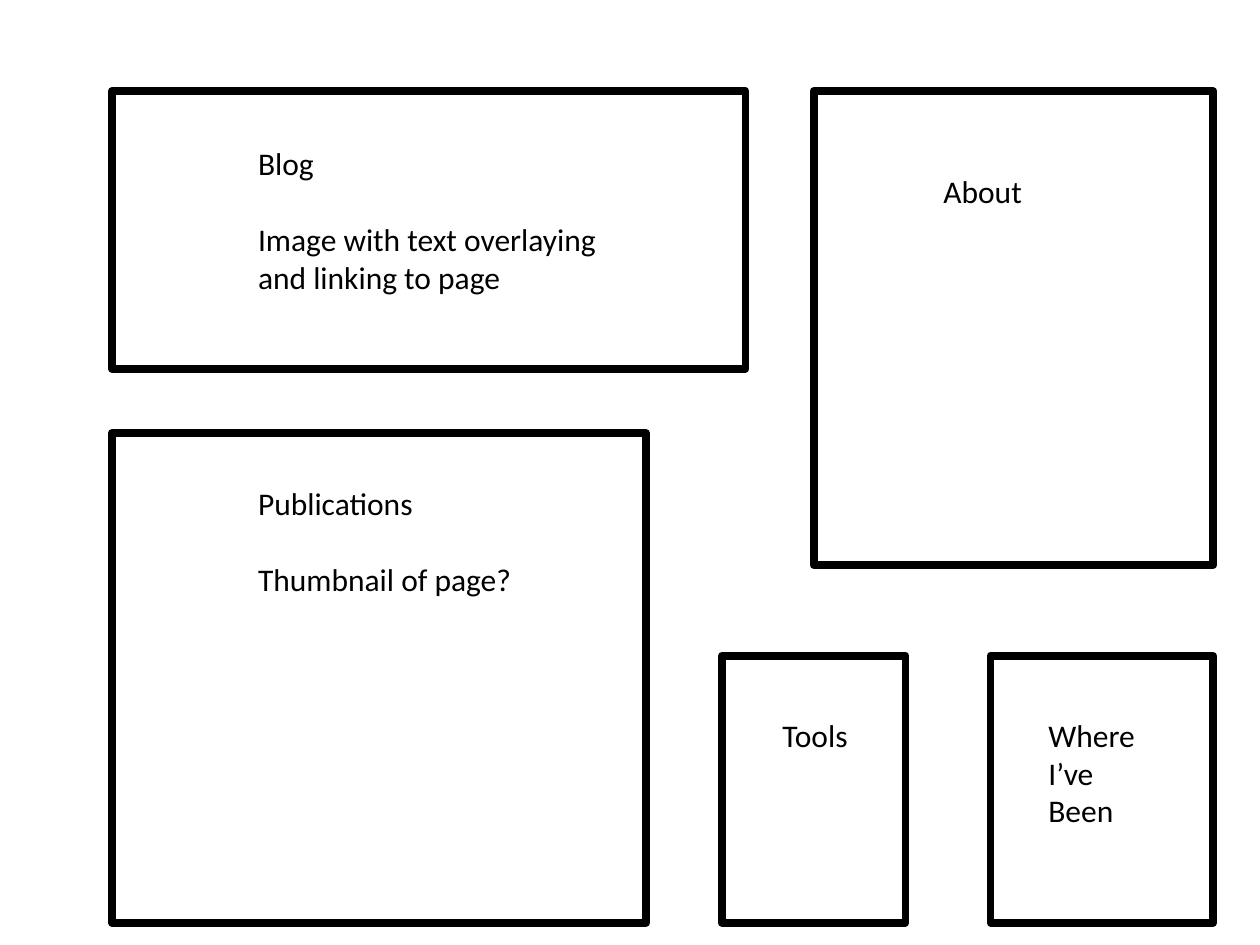
from pptx import Presentation
from pptx.dml.color import RGBColor
from pptx.enum.shapes import MSO_SHAPE
from pptx.enum.text import MSO_AUTO_SIZE
from pptx.util import Pt

RECT = MSO_SHAPE.RECTANGLE
GROW = MSO_AUTO_SIZE.SHAPE_TO_FIT_TEXT
BLACK = "000000"
SIZE = 18
GAP = 22  # one line of text

# Page grid
LEFT, RIGHT = 64, 693.3
TOP, BASE = 52, 527.3
LOW = 374.7  # top of the two small frames
INSET = 140.4  # left of the notes in the wide frames

# Frames: left, top, right, bottom
FRAMES = [
    (LEFT, TOP, 426, 210.7),
    (LEFT, 247.5, 369, BASE),
    (465, TOP, RIGHT, 323),
    (566, LOW, RIGHT, BASE),
    (412.5, LOW, 517.5, BASE),
]

# Notes: left, top, width, height, wrap, blocks of lines
NOTES = [
    (INSET, 78.5, 211, 94.5, False,
     [["Blog"], ["Image with text overlaying", "and linking to page"]]),
    (532, 95, 60, 29, False, [["About"]]),
    (592, 405.5, 72.7, 72.7, True, [["Where I’ve Been"]]),
    (440, 405.5, 54, 29, False, [["Tools"]]),
    (INSET, 273, 160.6, 72.7, False,
     [["Publications"], ["Thumbnail of page?"]]),
]


def color(code):
    return RGBColor.from_string(code)


def add_frame(slide, left, top, right, bottom):
    frame = slide.shapes.add_shape(
        RECT, Pt(left), Pt(top), Pt(right - left), Pt(bottom - top))
    frame.shadow.inherit = False
    frame.fill.background()
    frame.line.color.rgb = color(BLACK)
    frame.line.width = Pt(4.5)


def add_note(slide, left, top, width, height, wrap, blocks):
    box = slide.shapes.add_textbox(Pt(left), Pt(top), Pt(width), Pt(height))
    text = box.text_frame
    text.word_wrap = wrap
    text.auto_size = GROW
    lines = [(line, i > 0 and j == 0)
             for i, block in enumerate(blocks) for j, line in enumerate(block)]
    for n, (line, gap) in enumerate(lines):
        para = text.add_paragraph() if n else text.paragraphs[0]
        para.text = line
        para.font.name = "Calibri"
        para.font.size = Pt(SIZE)
        para.font.color.rgb = color(BLACK)
        if gap:
            para.space_before = Pt(GAP)


def main():
    deck = Presentation()
    deck.slide_width, deck.slide_height = Pt(720), Pt(540)
    slide = deck.slides.add_slide(deck.slide_layouts[6])
    for frame in FRAMES:
        add_frame(slide, *frame)
    for note in NOTES:
        add_note(slide, *note)
    deck.save("out.pptx")


if __name__ == "__main__":
    main()
